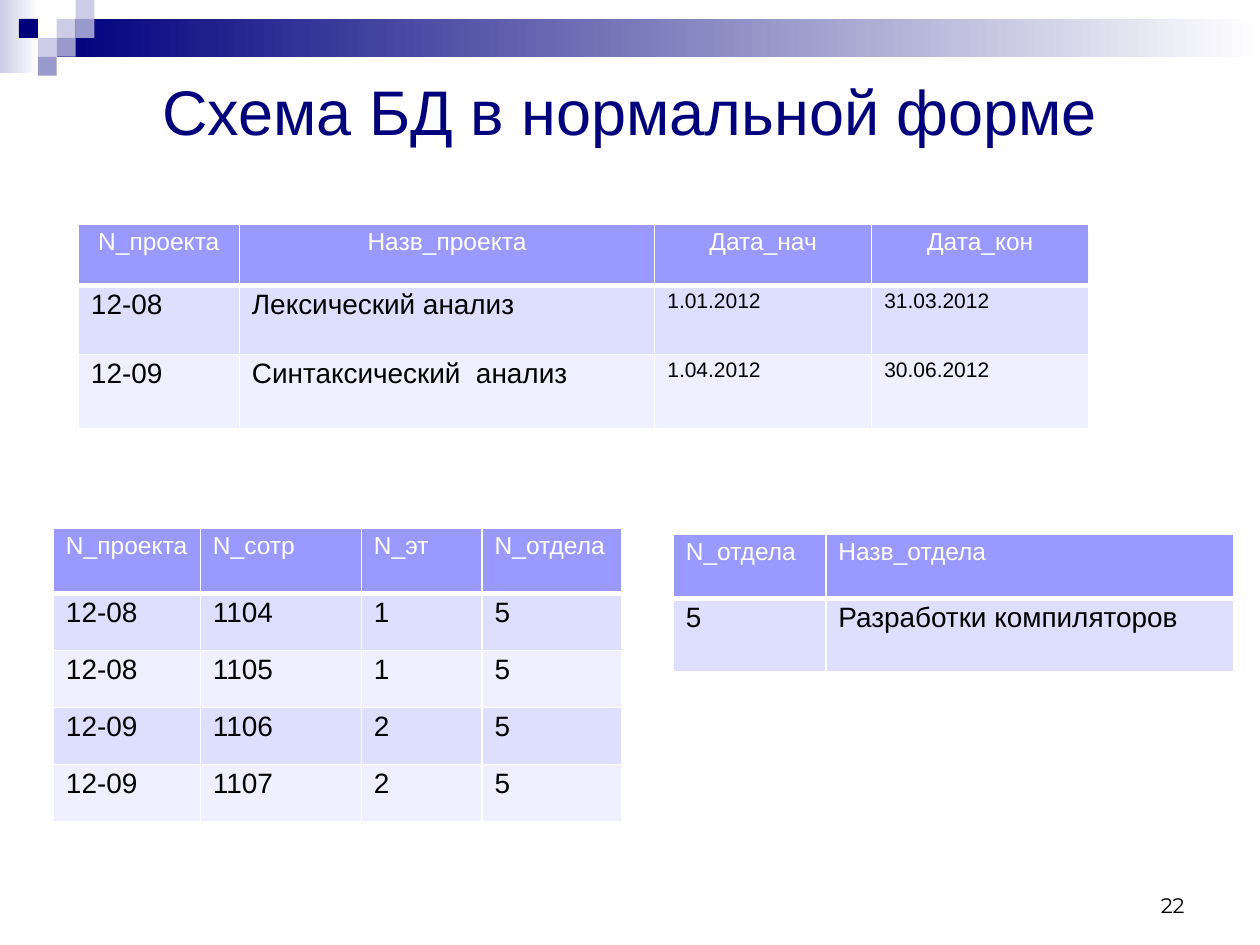
from lxml import etree
from pptx import Presentation
from pptx.dml.color import RGBColor
from pptx.enum.shapes import MSO_SHAPE as SHAPE
from pptx.enum.text import MSO_ANCHOR as ANCHOR, PP_ALIGN as ALIGN
from pptx.oxml.ns import qn
from pptx.util import Pt

NAVY, MID, PALE, WHITE, BLACK = "00007D", "9999CC", "CCCCE6", "FFFFFF", "000000"
HEADER, BANDS = "9999FF", ("DEDEFF", "EFEFFF")
UNIT = 10.8  # side of one square of the corner ornament


def rgb(color):
    return RGBColor.from_string(color)


def write(tf, text, size=16, color=BLACK, font="Arial", align=ALIGN.LEFT,
          anchor=ANCHOR.TOP, spacing=None):
    tf.word_wrap = True
    tf.vertical_anchor = anchor
    p = tf.paragraphs[0]
    p.alignment = align
    p.line_spacing = spacing
    r = p.add_run()
    r.text = text
    r.font.name, r.font.size = font, Pt(size)
    r.font.color.rgb = rgb(color)


def set_borders(cell, **widths):
    """Draw white cell borders; widths in points are keyed L, R, T, B."""
    tc_pr = cell._tc.get_or_add_tcPr()
    for side in "LRTB":
        ln = etree.SubElement(tc_pr, qn(f"a:ln{side}"), w=str(Pt(widths.get(side, 1))))
        fill = etree.SubElement(ln, qn("a:solidFill"))
        etree.SubElement(fill, qn("a:srgbClr"), val=WHITE)


class SlideBuilder:
    def __init__(self, prs):
        self.slide = prs.slides.add_slide(prs.slide_layouts[5])

    def rect(self, x, y, w, h, *colors):
        """Add a rectangle filled with one colour or a left-to-right gradient of two."""
        sp = self.slide.shapes.add_shape(SHAPE.RECTANGLE, Pt(x), Pt(y), Pt(w), Pt(h))
        sp.shadow.inherit = False
        sp.line.fill.background()
        if len(colors) == 1:
            sp.fill.solid()
            sp.fill.fore_color.rgb = rgb(colors[0])
            return
        sp.fill.gradient()
        sp.fill.gradient_angle = 0
        for stop, position, color in zip(sp.fill.gradient_stops, (0, 1), colors):
            stop.position = position
            stop.color.rgb = rgb(color)

    def title(self, text, x, y, w, h):
        sp = self.slide.shapes.title
        sp.left, sp.top, sp.width, sp.height = Pt(x), Pt(y), Pt(w), Pt(h)
        write(sp.text_frame, text, size=36, color=NAVY, align=ALIGN.CENTER,
              anchor=ANCHOR.MIDDLE)

    def text(self, text, x, y, w, h, **style):
        sp = self.slide.shapes.add_textbox(Pt(x), Pt(y), Pt(w), Pt(h))
        write(sp.text_frame, text, **style)

    def table(self, x, y, widths, heights, rows, header_align=ALIGN.LEFT, small_cols=()):
        frame = self.slide.shapes.add_table(len(rows), len(widths), Pt(x), Pt(y),
                                            Pt(sum(widths)), Pt(sum(heights)))
        table = frame.table
        for col, width in zip(table.columns, widths):
            col.width = Pt(width)
        for i, (row, height) in enumerate(zip(rows, heights)):
            table.rows[i].height = Pt(height)
            for j, text in enumerate(row):
                cell = table.cell(i, j)
                set_borders(cell, T=3 if i == 1 else 1, B=3 if i == 0 else 1)
                cell.fill.solid()
                if i == 0:
                    fill = HEADER
                    style = dict(size=14, color=WHITE, align=header_align)
                else:
                    fill = BANDS[(i - 1) % 2]
                    style = dict(size=12 if j in small_cols else 16)
                cell.fill.fore_color.rgb = rgb(fill)
                write(cell.text_frame, text, spacing=0.9, **style)


def main():
    prs = Presentation()
    prs.slide_width, prs.slide_height = Pt(720), Pt(540)
    s = SlideBuilder(prs)

    s.rect(0, 0, 22, 42, PALE, WHITE)
    s.rect(3 * UNIT, UNIT, 720 - 3 * UNIT, 2 * UNIT, NAVY, WHITE)
    squares = [(3, 1, PALE), (4, 0, PALE), (4, 1, MID), (2, 2, PALE),
               (1, 1, NAVY), (3, 2, MID), (2, 3, MID)]
    for col, row, color in squares:
        s.rect(col * UNIT, row * UNIT, UNIT, UNIT, color)

    s.title("Схема БД в нормальной форме", 36, 36, 648, 54)

    s.table(30.5, 302, [84, 92, 69, 80], [37.2] + [32.6] * 4, [
        ["N_проекта", "N_сотр", "N_эт", "N_отдела"],
        ["12-08", "1104", "1", "5"],
        ["12-08", "1105", "1", "5"],
        ["12-09", "1106", "2", "5"],
        ["12-09", "1107", "2", "5"],
    ])
    s.table(384.7, 305.3, [87.2, 233.2], [36.9, 41.8], [
        ["N_отдела", "Назв_отдела"],
        ["5", "Разработки компиляторов"],
    ])
    s.table(44.8, 128.2, [92, 237.4, 124, 124], [35, 39.4, 42.2], [
        ["N_проекта", "Назв_проекта", "Дата_нач", "Дата_кон"],
        ["12-08", "Лексический анализ", "1.01.2012", "31.03.2012"],
        ["12-09", "Синтаксический  анализ", "1.04.2012", "30.06.2012"],
    ], header_align=ALIGN.CENTER, small_cols=(2, 3))

    s.text("22", 516, 492, 168, 36, size=12, font="Montserrat", align=ALIGN.RIGHT,
           anchor=ANCHOR.BOTTOM)
    prs.save("out.pptx")


if __name__ == "__main__":
    main()
